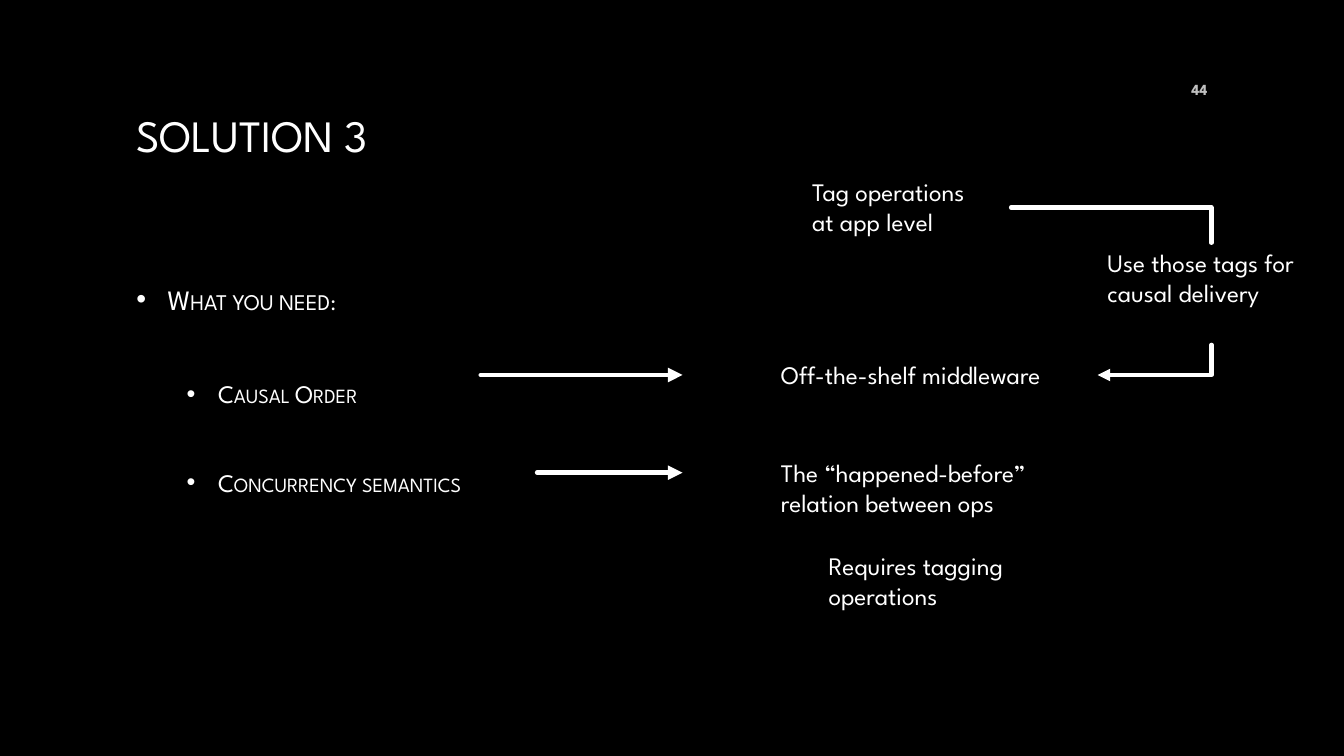
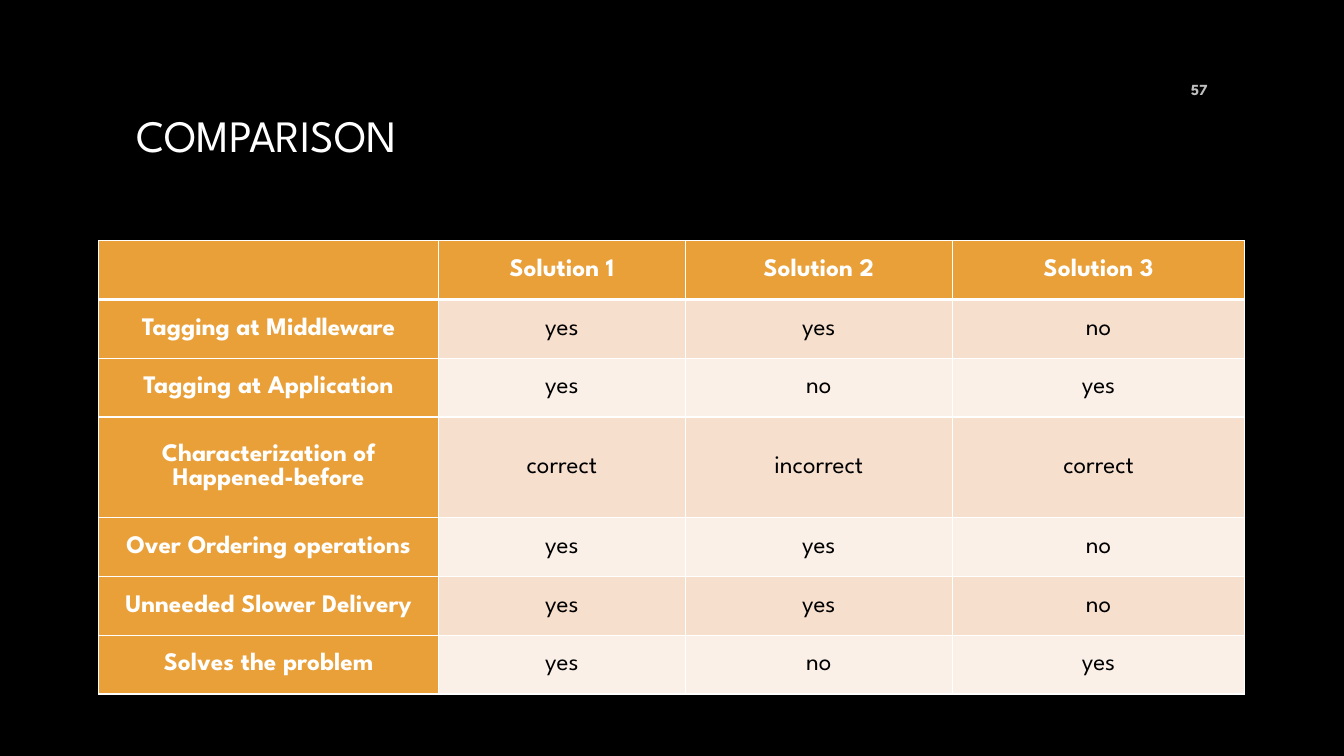
from lxml import etree
from pptx import Presentation
from pptx.dml.color import RGBColor
from pptx.enum.shapes import MSO_CONNECTOR
from pptx.enum.text import MSO_ANCHOR, MSO_AUTO_SIZE, PP_ALIGN
from pptx.oxml.ns import qn
from pptx.util import Cm, Pt

LEFT, CENTER, RIGHT = PP_ALIGN.LEFT, PP_ALIGN.CENTER, PP_ALIGN.RIGHT
TOP, MIDDLE = MSO_ANCHOR.TOP, MSO_ANCHOR.MIDDLE
STRAIGHT, ELBOW = MSO_CONNECTOR.STRAIGHT, MSO_CONNECTOR.ELBOW
NO_FIT = MSO_AUTO_SIZE.NONE

BLACK = RGBColor(0x00, 0x00, 0x00)
WHITE = RGBColor(0xFF, 0xFF, 0xFF)
GRAY = RGBColor(0xBF, 0xBF, 0xBF)
ORANGE = RGBColor(0xE9, 0xA0, 0x39)
BANDS = (RGBColor(0xF7, 0xDF, 0xCE), RGBColor(0xFB, 0xF0, 0xE8))

FONT = "League Spartan"
TITLE_AND_BODY, TITLE_ONLY = 1, 5


def child(parent, tag, **attributes):
    """Append a DrawingML element."""
    return etree.SubElement(parent, qn(tag), attributes)


def write(paragraph, text, size=18, color=WHITE, bold=False, align=LEFT,
          leading=None, before=0, small_caps=False):
    """Put formatted text into a paragraph; leading and before are in points."""
    paragraph.alignment = align
    paragraph.space_before = Pt(before)
    paragraph.space_after = Pt(0)
    if leading:
        paragraph.line_spacing = Pt(leading)
    run = paragraph.add_run()
    run.text = text
    run.font.name = FONT
    run.font.size = Pt(size)
    run.font.bold = bold
    run.font.color.rgb = color
    if small_caps:
        run.font._element.set("cap", "small")


class Deck:
    """Holds the shared style and the current slide."""

    def __init__(self):
        self.prs = Presentation()
        self.prs.slide_width, self.prs.slide_height = Cm(33.87), Cm(19.05)
        background = self.prs.slide_master.background.fill
        background.solid()
        background.fore_color.rgb = BLACK
        self.slide = None

    def new_slide(self, layout, title, number):
        self.slide = self.prs.slides.add_slide(self.prs.slide_layouts[layout])
        frame = self.place(self.slide.shapes.title, 3.18, 1.7, 27.52, 3.38)
        frame.vertical_anchor = MIDDLE
        write(frame.paragraphs[0], title, size=32)
        self.text([number], 29.16, 1.75, 1.52, 1.02, anchor=MIDDLE,
                  size=11, color=GRAY, bold=True, align=RIGHT)

    def place(self, holder, left, top, width, height):
        """Move a placeholder and return its text frame."""
        holder.left, holder.top = Cm(left), Cm(top)
        holder.width, holder.height = Cm(width), Cm(height)
        holder.text_frame.auto_size = NO_FIT
        return holder.text_frame

    def text(self, lines, left, top, width, height, anchor=TOP, inset=0.25, **style):
        box = self.slide.shapes.add_textbox(Cm(left), Cm(top), Cm(width), Cm(height))
        frame = box.text_frame
        frame.word_wrap = True
        frame.vertical_anchor = anchor
        frame.margin_left = Cm(inset)
        for i, line in enumerate(lines):
            paragraph = frame.add_paragraph() if i else frame.paragraphs[0]
            write(paragraph, line, **style)

    def bullets(self, items):
        """Fill the body from (text, level, size, space before) items."""
        frame = self.place(self.slide.placeholders[1], 3.18, 6.45, 27.52, 10.92)
        frame.vertical_anchor = TOP
        frame.margin_top = Cm(0.66)
        for i, (text, level, size, before) in enumerate(items):
            paragraph = frame.add_paragraph() if i else frame.paragraphs[0]
            paragraph.level = level
            properties = paragraph._p.get_or_add_pPr()
            properties.set("marL", str(Cm(0.79 + 1.27 * level)))
            properties.set("indent", str(-Cm(0.79)))
            bullet_color = child(properties, "a:buClr")
            child(bullet_color, "a:srgbClr", val=str(WHITE))
            child(properties, "a:buFont", typeface="Arial")
            child(properties, "a:buChar", char="•")
            write(paragraph, text, size=size, leading=1.2 * size,
                  before=before, small_caps=True)

    def connector(self, kind, start, end, width, arrow):
        line = self.slide.shapes.add_connector(kind, *map(Cm, start + end))
        line.line.width = Pt(width)
        line.line.color.rgb = WHITE
        properties = line.element.spPr
        outline = properties.find(qn("a:ln"))
        outline.set("cap", "rnd")
        if arrow:
            child(outline, "a:tailEnd", type="triangle")
        child(properties, "a:effectLst")
        return properties

    def arrow(self, start, end):
        self.connector(STRAIGHT, start, end, 3.5, arrow=True)

    def bend(self, start, end, down_first=False, arrow=False):
        """One-corner connector: right then down, or down then left."""
        (x1, y1), (x2, y2) = start, end
        if down_first:
            # A quarter turn swaps width and height around the same centre
            x, y = (x1 + x2) / 2, (y1 + y2) / 2
            half_w, half_h = abs(y2 - y1) / 2, abs(x2 - x1) / 2
            start, end = (x - half_w, y - half_h), (x + half_w, y + half_h)
        properties = self.connector(ELBOW, start, end, 3, arrow)
        properties.find(qn("a:prstGeom")).set("prst", "bentConnector2")
        if down_first:
            properties.find(qn("a:xfrm")).set("rot", str(90 * 60000))

    def table(self, rows, left, top, widths, heights):
        grid = self.slide.shapes.add_table(
            len(rows), len(widths), Cm(left), Cm(top),
            Cm(sum(widths)), Cm(sum(heights))).table
        for column, width in zip(grid.columns, widths):
            column.width = Cm(width)
        for r, (values, height) in enumerate(zip(rows, heights)):
            grid.rows[r].height = Cm(height)
            for c, value in enumerate(values):
                self.cell(grid.cell(r, c), value, r, c)

    def cell(self, cell, value, row, column):
        heading = row == 0 or column == 0
        properties = cell._tc.get_or_add_tcPr()
        thick = {0: "a:lnB", 1: "a:lnT"}.get(row)
        for side in ("a:lnL", "a:lnR", "a:lnT", "a:lnB"):
            border = child(properties, side, w=str(Pt(3 if side == thick else 1)))
            child(child(border, "a:solidFill"), "a:srgbClr", val=str(WHITE))
        cell.fill.solid()
        cell.fill.fore_color.rgb = ORANGE if heading else BANDS[(row - 1) % 2]
        cell.vertical_anchor = MIDDLE
        if value:
            write(cell.text_frame.paragraphs[0], value, bold=heading,
                  color=WHITE if heading else BLACK, align=CENTER)


def main():
    deck = Deck()

    # Solution 3: needs on the left, means on the right
    deck.new_slide(TITLE_AND_BODY, "SOLUTION 3", "44")
    deck.bullets([
        ("What you need:", 0, 20, 0),
        ("Causal Order", 1, 18, 45),
        ("Concurrency semantics", 1, 18, 41.5),
    ])
    means_left = 19.43
    for lines, left, top, width, height, extra in (
        (["Off-the-shelf middleware"], means_left, 8.94, 8.23, 1.02, {}),
        (["The “happened-before” relation between ops"],
         means_left, 11.4, 8.1, 1.8, {}),
        (["Requires tagging operations"], means_left, 13.74, 7.34, 1.8,
         {"anchor": MIDDLE, "inset": 1.45}),
        (["Tag operations", "at app level"], 20.22, 4.32, 5.26, 1.8, {}),
        (["Use those tags for causal delivery"], 27.66, 6.12, 5.72, 2.57, {}),
    ):
        deck.text(lines, left, top, width, height, leading=21.5, **extra)

    # Arrows from needs to means, and the path of the tags
    middleware_y, relation_y, arrow_end = 9.45, 11.91, 17.2
    deck.arrow((12.12, middleware_y), (arrow_end, middleware_y))
    deck.arrow((13.54, relation_y), (arrow_end, relation_y))
    tags_x = 30.53
    deck.bend((25.48, 5.23), (tags_x, 6.12))
    deck.bend((tags_x, 8.69), (27.66, middleware_y), down_first=True, arrow=True)

    # Comparison of the three solutions
    deck.new_slide(TITLE_ONLY, "COMPARISON", "57")
    comparison = [
        ("", "Solution 1", "Solution 2", "Solution 3"),
        ("Tagging at Middleware", "yes", "yes", "no"),
        ("Tagging at Application", "yes", "no", "yes"),
        ("Characterization of Happened-before", "correct", "incorrect", "correct"),
        ("Over Ordering operations", "yes", "yes", "no"),
        ("Unneeded Slower Delivery", "yes", "yes", "no"),
        ("Solves the problem", "yes", "no", "yes"),
    ]
    heights = [1.48] * 3 + [2.54] + [1.48] * 3
    deck.table(comparison, 2.49, 6.07, [8.56, 6.22, 6.73, 7.37], heights)

    deck.prs.save("out.pptx")


if __name__ == "__main__":
    main()
